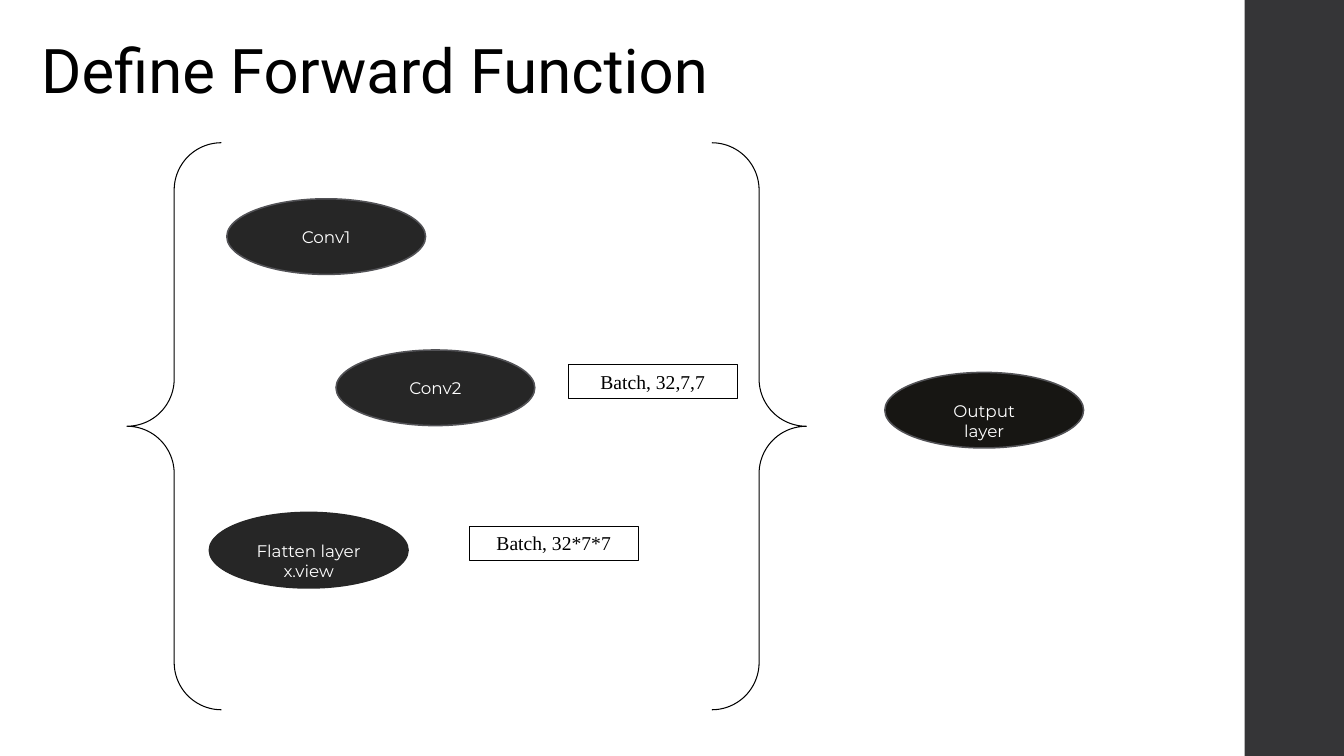
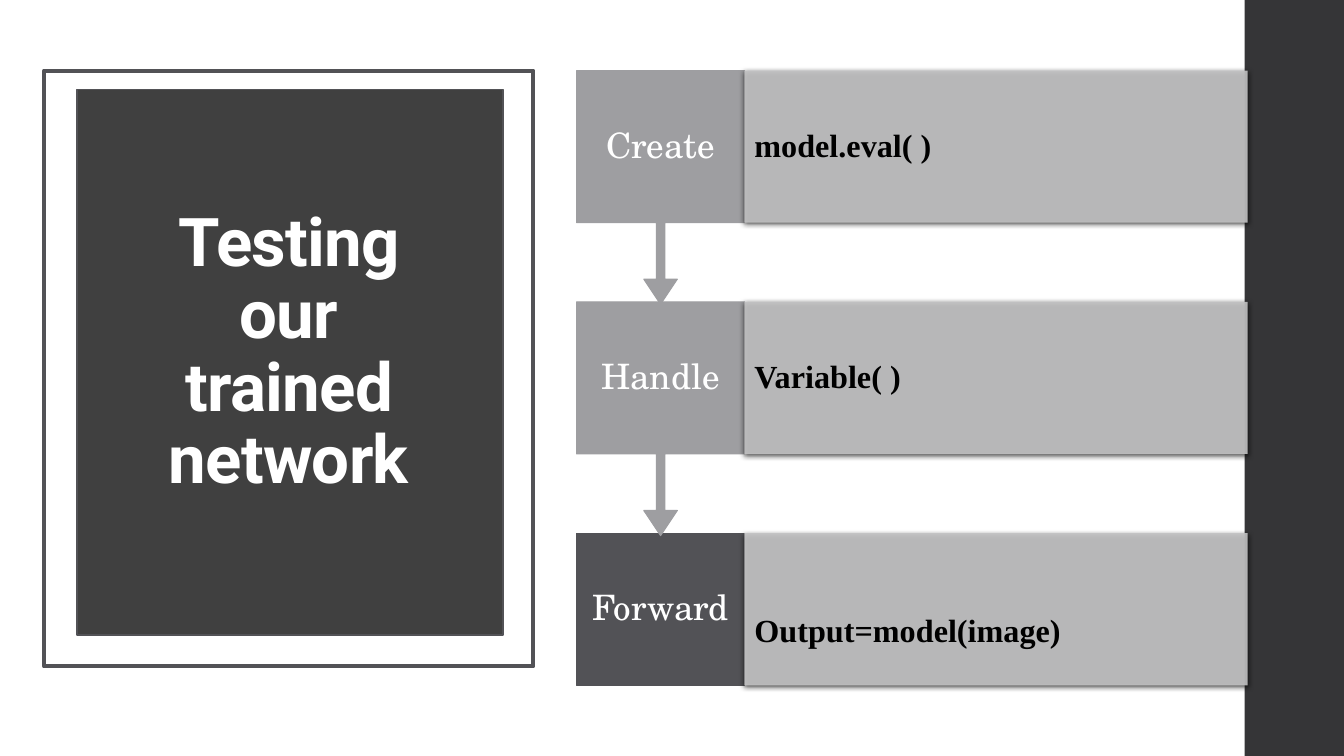
from lxml.etree import SubElement
from pptx import Presentation
from pptx.dml.color import RGBColor
from pptx.enum.shapes import MSO_SHAPE
from pptx.enum.text import MSO_ANCHOR, PP_ALIGN
from pptx.oxml.ns import qn
from pptx.util import Pt

WHITE = RGBColor(0xFF, 0xFF, 0xFF)
BLACK = RGBColor(0x00, 0x00, 0x00)
BAND = RGBColor(0x35, 0x35, 0x37)
OUTLINE = RGBColor(0x52, 0x52, 0x56)
NODE = RGBColor(0x26, 0x26, 0x26)
OUTPUT = RGBColor(0x17, 0x16, 0x13)
CARD = RGBColor(0x40, 0x40, 0x40)
STEP = RGBColor(0x9E, 0x9E, 0xA1)
PANEL = RGBColor(0xC2, 0xC2, 0xC3)

TITLE = {"name": "Roboto", "size": Pt(44)}
CARD_TITLE = {"name": "Roboto", "size": Pt(48), "bold": True}
NODE_FONT = {"name": "Montserrat", "size": Pt(12)}
SIZE_FONT = {"name": "Times New Roman", "size": Pt(14)}
VERB_FONT = {"name": "TeX Gyre Schola", "size": Pt(25)}
CODE_FONT = {"name": "Times New Roman", "size": Pt(23), "bold": True}

SLIDE_W, SLIDE_H = 960, 540
NODE_W, NODE_H = 142, 54


def add_box(s, kind, box, fill=None, line=None, width=0.75):
    """Draw a preset shape with an optional fill and outline."""
    sp = s.shapes.add_shape(kind, *map(Pt, box))
    sp.shadow.inherit = False
    if fill is None:
        sp.fill.background()
    else:
        sp.fill.solid()
        sp.fill.fore_color.rgb = fill
    if line is None:
        sp.line.fill.background()
    else:
        sp.line.color.rgb = line
        sp.line.width = Pt(width)
    return sp


def write(sp, lines, font, color, align=PP_ALIGN.CENTER, anchor=MSO_ANCHOR.TOP,
          margins=(7.2, 3.6, 7.2, 3.6), spacing=1.0, tracking=0):
    """Fill a shape with one paragraph per line of text."""
    tf = sp.text_frame
    frame = dict(zip(("margin_left", "margin_top", "margin_right", "margin_bottom"),
                     map(Pt, margins)))
    frame.update(word_wrap=True, vertical_anchor=anchor)
    for key, value in frame.items():
        setattr(tf, key, value)
    for i, line in enumerate(lines):
        p = tf.paragraphs[0] if i == 0 else tf.add_paragraph()
        p.alignment = align
        p.line_spacing = spacing
        r = p.add_run()
        r.text = line
        for key, value in font.items():
            setattr(r.font, key, value)
        r.font.color.rgb = color
        if tracking:
            r.font._element.set("spc", str(int(tracking * 100)))


def add_text(s, box, lines, font, color, **layout):
    """Place a text box."""
    write(s.shapes.add_textbox(*map(Pt, box)), lines, font, color, **layout)


def soften(sp):
    """Make a panel slightly transparent and give it a drop shadow."""
    fill = sp._element.spPr.find(qn("a:solidFill"))
    SubElement(fill[0], qn("a:alpha"), val="90000")
    effects = sp._element.spPr.find(qn("a:effectLst"))
    shadow = SubElement(effects, qn("a:outerShdw"), blurRad=str(Pt(4)),
                        dist=str(Pt(1.2)), dir="5400000", algn="ctr", rotWithShape="0")
    color = SubElement(shadow, qn("a:srgbClr"), val=str(BLACK))
    SubElement(color, qn("a:alpha"), val="75000")


def add_slide(prs):
    """Add a blank slide with the dark side band."""
    s = prs.slides.add_slide(prs.slide_layouts[6])
    add_box(s, MSO_SHAPE.RECTANGLE, (889, 0, SLIDE_W - 889, SLIDE_H), BAND)
    return s


def add_node(s, x, y, lines, fill=NODE, line=OUTLINE):
    """Draw a layer ellipse with its label."""
    add_box(s, MSO_SHAPE.OVAL, (x, y, NODE_W, NODE_H), fill, line, 1.1)
    add_text(s, (x + 12.5, y + 16.4, NODE_W - 25, 22), lines, NODE_FONT, WHITE)


def add_size(s, x, y, text):
    """Draw an outlined box that states a tensor size."""
    sp = add_box(s, MSO_SHAPE.RECTANGLE, (x, y, 120.5, 24.5), None, BLACK)
    write(sp, [text], SIZE_FONT, BLACK)


def add_step(s, box, verb, code, last):
    """Draw one step: a verb block, with an arrow unless last, and its code panel."""
    x, y, w, h = box
    verb_w = 120
    if last:
        add_box(s, MSO_SHAPE.RECTANGLE, (x, y, verb_w, h), OUTLINE, OUTLINE)
    else:
        sp = add_box(s, MSO_SHAPE.UP_ARROW_CALLOUT, (x, y, verb_w, 167), STEP, STEP)
        sp.rotation = 180
        for i, value in enumerate((0.05, 0.1, 0.15, 0.65)):
            sp.adjustments[i] = value
    middle = {"anchor": MSO_ANCHOR.MIDDLE, "spacing": 0.9}
    add_text(s, (x, y, verb_w, h), [verb], VERB_FONT, WHITE,
             margins=(8.5, 13.5, 8.5, 13.5), **middle)
    panel = add_box(s, MSO_SHAPE.RECTANGLE, (x + verb_w, y, w - verb_w, h), PANEL)
    soften(panel)
    add_text(s, (x + verb_w, y, w - verb_w, h), [code], CODE_FONT, BLACK,
             align=PP_ALIGN.LEFT, margins=(7.2, 56 if last else 23, 7.2, 23), **middle)


def add_card(s, box, title):
    """Draw the framed title card."""
    x, y, w, h = box
    add_box(s, MSO_SHAPE.RECTANGLE, (x + 23.5, y + 13.5, 304.5, 389.5), CARD, OUTLINE, 1.1)
    add_box(s, MSO_SHAPE.RECTANGLE, box, None, OUTLINE, 3)
    add_text(s, (x + 55.5, y, 238.5, 309), [title], CARD_TITLE, WHITE,
             anchor=MSO_ANCHOR.BOTTOM, spacing=0.9, tracking=-0.5)


def forward_slide(prs):
    """Build the slide on the forward function."""
    s = add_slide(prs)
    add_text(s, (22.3, 19.4, 613.5, 60.5), ["Define Forward Function"], TITLE, BLACK,
             align=PP_ALIGN.LEFT)
    add_box(s, MSO_SHAPE.DOUBLE_BRACE, (90.7, 102, 485.3, 405), None, BLACK)
    add_node(s, 162, 142, ["Conv1"])
    add_node(s, 240, 250, ["Conv2"])
    add_node(s, 149.5, 366, ["Flatten layer", "x.view"], line=NODE)
    add_size(s, 406, 260.5, "Batch, 32,7,7")
    add_size(s, 335.3, 376, "Batch, 32*7*7")
    add_node(s, 632, 266, ["Output", "layer"], fill=OUTPUT)


def testing_slide(prs):
    """Build the slide on testing the trained network."""
    s = add_slide(prs)
    steps = [("Create", "model.eval( )"), ("Handle", "Variable( )"),
             ("Forward", "Output=model(image)")]
    last = len(steps) - 1
    for i, (verb, code) in reversed(list(enumerate(steps))):
        add_step(s, (411.8, 50.4 + 165.2 * i, 479.5, 108.7), verb, code, i == last)
    add_card(s, (31.5, 50.5, 349.5, 425.5), "Testing our trained network")


def main():
    """Build and save the presentation."""
    prs = Presentation()
    prs.slide_width, prs.slide_height = Pt(SLIDE_W), Pt(SLIDE_H)
    forward_slide(prs)
    testing_slide(prs)
    prs.save("out.pptx")


if __name__ == "__main__":
    main()
